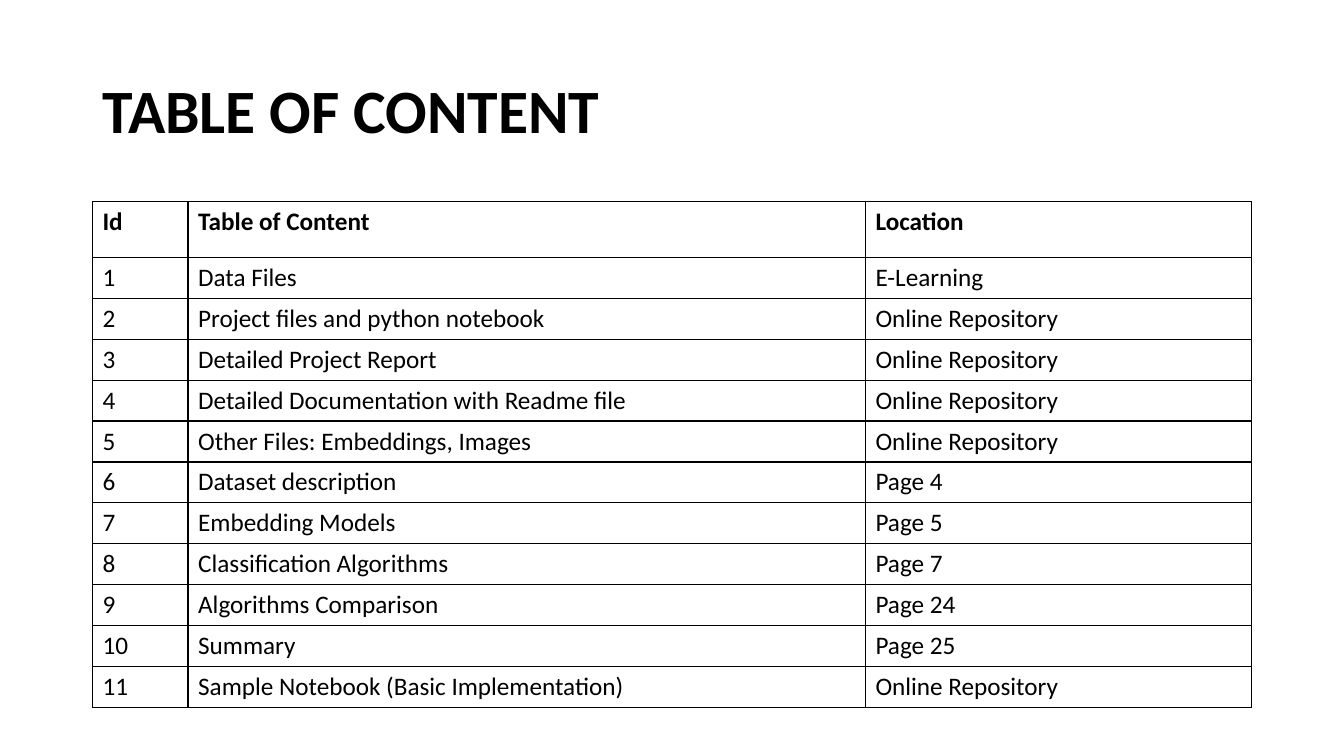
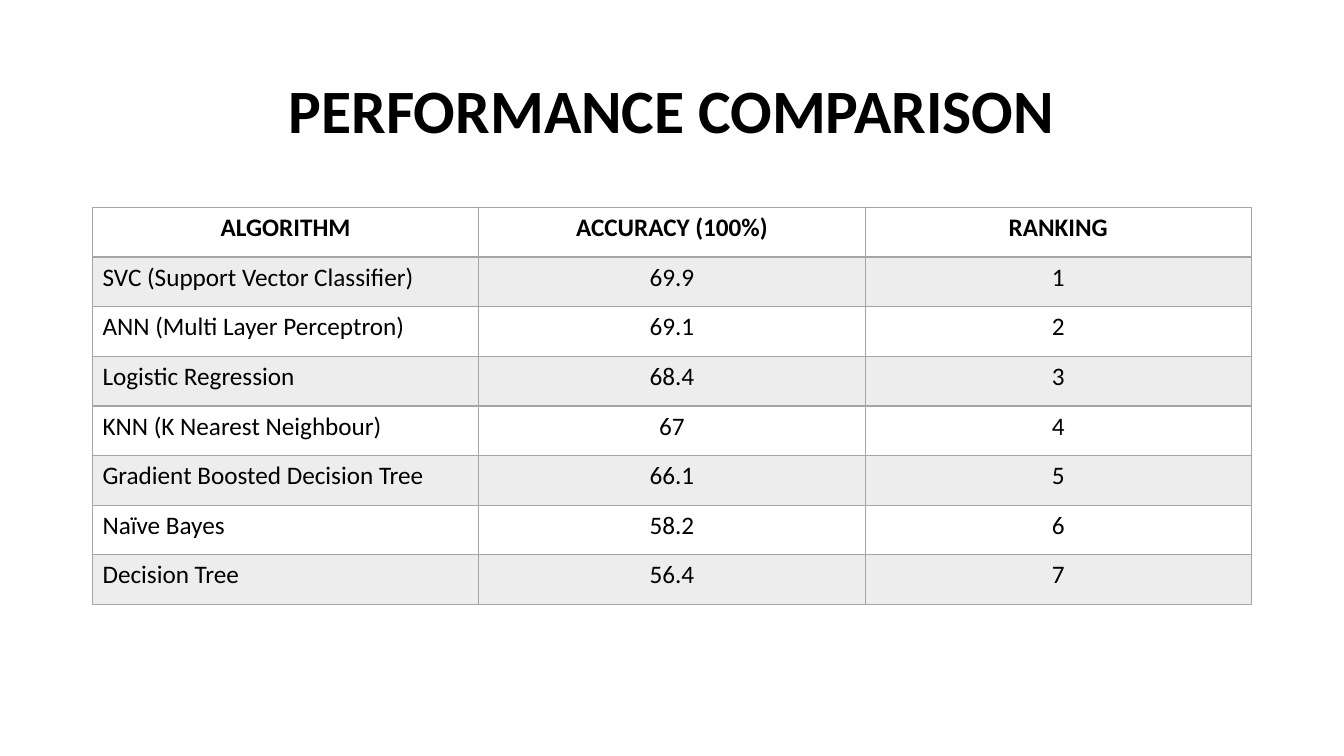
import dataclasses
import typing

import lxml.etree
import pptx
import pptx.dml.color
import pptx.enum.text
import pptx.oxml.ns
import pptx.slide
import pptx.table
import pptx.text.text
import pptx.util

Cm = pptx.util.Cm
Pt = pptx.util.Pt
LEFT = pptx.enum.text.PP_ALIGN.LEFT
CENTER = pptx.enum.text.PP_ALIGN.CENTER


# Shared look and page grid
@dataclasses.dataclass(frozen=True)
class Theme:
    font: str = "Calibri"
    text: str = "000000"
    gray: str = "A5A5A5"
    band_opacity: int = 20
    title_size: int = 44
    table_size: int = 18
    line_width: float = 1
    left: float = 2.33
    width: float = 29.21
    title_top: float = 1.01
    title_height: float = 3.68


THEME = Theme()


@dataclasses.dataclass(frozen=True)
class TableSlide:
    title: str
    title_alignment: pptx.enum.text.PP_ALIGN
    top: float
    column_widths: tuple[float, ...]
    header_height: float
    row_height: float
    rows: tuple[tuple[str, ...], ...]
    header_alignment: pptx.enum.text.PP_ALIGN
    body_alignments: tuple[pptx.enum.text.PP_ALIGN, ...]
    border_color: str
    header_rule: float = THEME.line_width
    banded: bool = False


# Slide contents
REPOSITORY = "Online Repository"
CONTENTS = (
    ("Data Files", "E-Learning"),
    ("Project files and python notebook", REPOSITORY),
    ("Detailed Project Report", REPOSITORY),
    ("Detailed Documentation with Readme file", REPOSITORY),
    ("Other Files: Embeddings, Images", REPOSITORY),
    ("Dataset description", "Page 4"),
    ("Embedding Models", "Page 5"),
    ("Classification Algorithms", "Page 7"),
    ("Algorithms Comparison", "Page 24"),
    ("Summary", "Page 25"),
    ("Sample Notebook (Basic Implementation)", REPOSITORY),
)
ACCURACIES = (
    ("SVC (Support Vector Classifier)", "69.9"),
    ("ANN (Multi Layer Perceptron)", "69.1"),
    ("Logistic Regression", "68.4"),
    ("KNN (K Nearest Neighbour)", "67"),
    ("Gradient Boosted Decision Tree", "66.1"),
    ("Naïve Bayes", "58.2"),
    ("Decision Tree", "56.4"),
)

SLIDES = (
    TableSlide(
        title="TABLE OF CONTENT",
        title_alignment=LEFT,
        top=5.08,
        column_widths=(2.41, 17.07, 9.73),
        header_height=1.41,
        row_height=1.03,
        rows=(
            ("Id", "Table of Content", "Location"),
            *((str(number), *entry) for number, entry in enumerate(CONTENTS, 1)),
        ),
        header_alignment=LEFT,
        body_alignments=(LEFT, LEFT, LEFT),
        border_color=THEME.text,
    ),
    TableSlide(
        title="PERFORMANCE COMPARISON",
        title_alignment=CENTER,
        top=5.23,
        column_widths=(THEME.width / 3,) * 3,
        header_height=1.25,
        row_height=1.25,
        rows=(
            ("ALGORITHM", "ACCURACY (100%)", "RANKING"),
            *((*entry, str(rank)) for rank, entry in enumerate(ACCURACIES, 1)),
        ),
        header_alignment=CENTER,
        body_alignments=(LEFT, CENTER, CENTER),
        border_color=THEME.gray,
        header_rule=2,
        banded=True,
    ),
)


# Formatting helpers
def apply_format(target: typing.Any, values: dict[str, typing.Any]) -> None:
    for name, value in values.items():
        setattr(target, name, value)


def write_text(
    paragraph: pptx.text.text._Paragraph,
    text: str,
    size: int,
    bold: bool,
    alignment: pptx.enum.text.PP_ALIGN,
) -> None:
    paragraph.alignment = alignment
    run = paragraph.add_run()
    run.text = text
    apply_format(run.font, {"name": THEME.font, "size": Pt(size), "bold": bold})
    run.font.color.rgb = pptx.dml.color.RGBColor.from_string(THEME.text)


def add_child(parent: typing.Any, tag: str, **attributes: str) -> typing.Any:
    return lxml.etree.SubElement(parent, pptx.oxml.ns.qn(tag), attributes)


def set_borders(cell: pptx.table._Cell, color: str, widths: dict[str, float]) -> None:
    properties = cell._tc.get_or_add_tcPr()
    for position, (side, width) in enumerate(widths.items()):
        line = add_child(properties, f"a:ln{side}", w=str(Pt(width)))
        add_child(add_child(line, "a:solidFill"), "a:srgbClr", val=color)
        properties.insert(position, line)


def fill_cell(cell: pptx.table._Cell, shaded: bool) -> None:
    if not shaded:
        cell.fill.background()
        return
    cell.fill.solid()
    cell.fill.fore_color.rgb = pptx.dml.color.RGBColor.from_string(THEME.gray)
    color = cell._tc.tcPr.find(".//" + pptx.oxml.ns.qn("a:srgbClr"))
    add_child(color, "a:alpha", val=str(THEME.band_opacity * 1000))


# Slide parts
def add_title(slide: pptx.slide.Slide, content: TableSlide) -> None:
    box = slide.shapes.add_textbox(
        Cm(THEME.left), Cm(THEME.title_top), Cm(THEME.width), Cm(THEME.title_height)
    )
    apply_format(
        box.text_frame,
        {"word_wrap": True, "vertical_anchor": pptx.enum.text.MSO_ANCHOR.MIDDLE},
    )
    paragraph = box.text_frame.paragraphs[0]
    paragraph.line_spacing = 0.9
    write_text(paragraph, content.title, THEME.title_size, True, content.title_alignment)


def add_content_table(slide: pptx.slide.Slide, content: TableSlide) -> None:
    row_count = len(content.rows)
    height = content.header_height + (row_count - 1) * content.row_height
    table = slide.shapes.add_table(
        row_count, len(content.column_widths),
        Cm(THEME.left), Cm(content.top), Cm(THEME.width), Cm(height),
    ).table
    table.horz_banding = False
    for column, width in zip(table.columns, content.column_widths):
        column.width = Cm(width)

    for row_index, texts in enumerate(content.rows):
        is_header = row_index == 0
        table.rows[row_index].height = Cm(
            content.header_height if is_header else content.row_height
        )
        widths = dict.fromkeys("LRTB", THEME.line_width)
        if is_header:
            widths["B"] = content.header_rule
        elif row_index == 1:
            widths["T"] = content.header_rule
        for column_index, text in enumerate(texts):
            cell = table.cell(row_index, column_index)
            alignment = (
                content.header_alignment if is_header
                else content.body_alignments[column_index]
            )
            write_text(
                cell.text_frame.paragraphs[0], text, THEME.table_size, is_header, alignment
            )
            fill_cell(cell, content.banded and row_index % 2 == 1)
            set_borders(cell, content.border_color, widths)


# Build the presentation
presentation = pptx.Presentation()
apply_format(presentation, {"slide_width": Cm(33.87), "slide_height": Cm(19.05)})
blank_layout = presentation.slide_layouts[6]
for slide_content in SLIDES:
    new_slide = presentation.slides.add_slide(blank_layout)
    add_title(new_slide, slide_content)
    add_content_table(new_slide, slide_content)
presentation.save("out.pptx")
